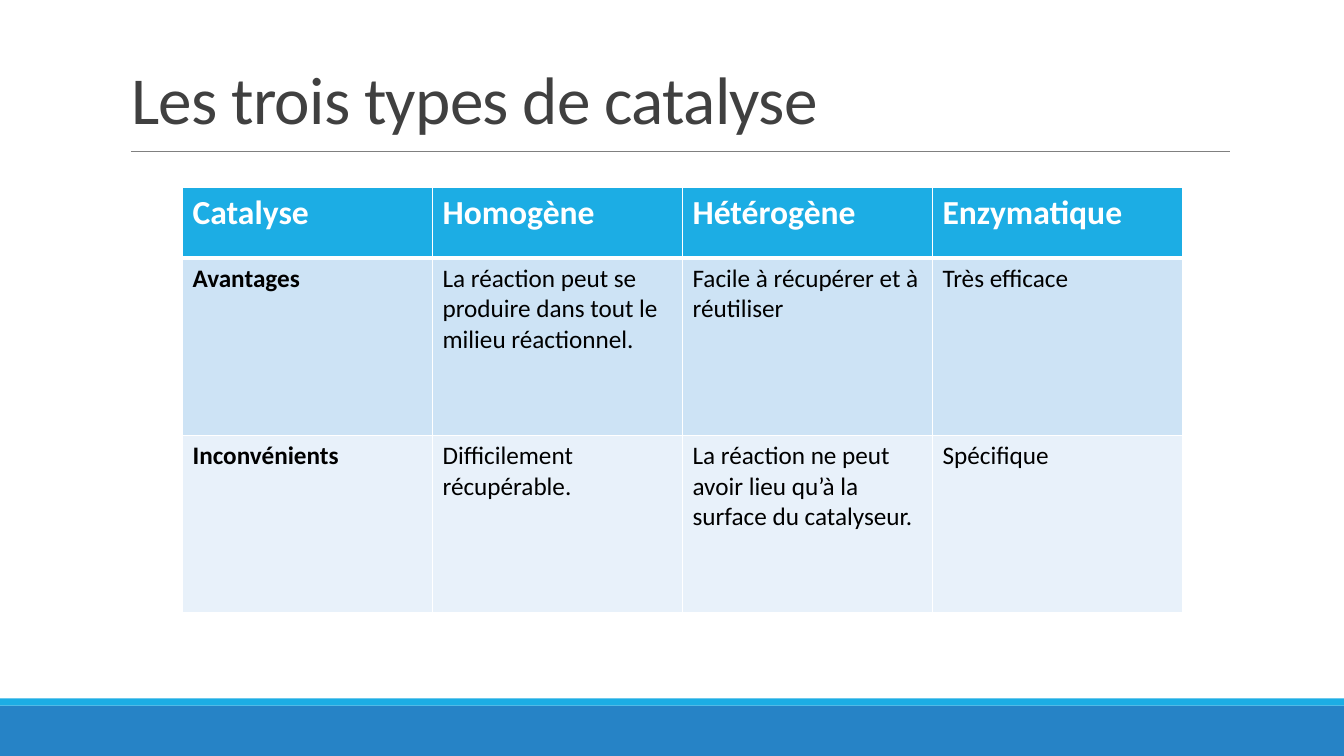
from lxml import etree
from pptx import Presentation
from pptx.dml.color import RGBColor
from pptx.enum.shapes import MSO_CONNECTOR, MSO_SHAPE
from pptx.enum.text import MSO_ANCHOR, PP_ALIGN
from pptx.oxml import parse_xml
from pptx.oxml.ns import nsdecls, qn
from pptx.util import Cm, Pt

RECT = MSO_SHAPE.RECTANGLE
STRAIGHT = MSO_CONNECTOR.STRAIGHT
BOTTOM = MSO_ANCHOR.BOTTOM
LEFT = PP_ALIGN.LEFT

TITLE = "Les trois types de catalyse"
ROWS = [
    ("Catalyse", "Homogène", "Hétérogène", "Enzymatique"),
    ("Avantages", "La réaction peut se produire dans tout le milieu réactionnel.",
     "Facile à récupérer et à réutiliser", "Très efficace"),
    ("Inconvénients", "Difficilement récupérable.",
     "La réaction ne peut avoir lieu qu’à la surface du catalyseur.", "Spécifique"),
]
ROW_FILLS = ["1CADE4", "CDE3F5", "E8F1FA"]
ROW_HEIGHTS = [1.78, 4.47, 4.47]
COL_WIDTH = 6.3
FOOTER_BARS = [(17.78, 1.27, "2683C6"), (17.6, 0.18, "1CADE4")]  # top, height, fill
SLIDE_W, SLIDE_H = 33.87, 19.05
FONT = "Calibri"


def rgb(color):
    return RGBColor.from_string(color)


def add_run(p, text, size, color, bold=False):
    r = p.add_run()
    r.text = text
    r.font.name = FONT
    r.font.size = Pt(size)
    r.font.bold = bold
    r.font.color.rgb = rgb(color)
    return r


def set_borders(cell, top, bottom):
    """Draw white borders, with top and bottom widths in points."""
    tcPr = cell._tc.get_or_add_tcPr()
    for side, width in (("L", 1), ("R", 1), ("T", top), ("B", bottom)):
        tcPr.append(parse_xml(
            f'<a:ln{side} {nsdecls("a")} w="{Pt(width)}"><a:solidFill>'
            f'<a:srgbClr val="FFFFFF"/></a:solidFill></a:ln{side}>'))


prs = Presentation()
prs.slide_width, prs.slide_height = Cm(SLIDE_W), Cm(SLIDE_H)
s = prs.slides.add_slide(prs.slide_layouts[5])

for top, height, color in FOOTER_BARS:
    bar = s.shapes.add_shape(RECT, 0, Cm(top), Cm(SLIDE_W), Cm(height))
    bar.shadow.inherit = False
    bar.fill.solid()
    bar.fill.fore_color.rgb = rgb(color)
    bar.line.fill.background()

rule = s.shapes.add_connector(STRAIGHT, Cm(3.3), Cm(3.82), Cm(31), Cm(3.82))
rule.line.color.rgb = rgb("808080")
rule.line.width = Pt(0.5)
etree.SubElement(rule._element.spPr, qn("a:effectLst"))

title = s.shapes.title
title.left, title.top, title.width, title.height = Cm(3.05), Cm(0.79), Cm(27.94), Cm(2.82)
tf = title.text_frame
tf.word_wrap = True
tf.vertical_anchor = BOTTOM
p = tf.paragraphs[0]
p.alignment = LEFT
p.line_spacing = 0.85
r = add_run(p, TITLE, 48, "404040")
r.font._element.set("spc", "-50")

table = s.shapes.add_table(len(ROWS), len(ROWS[0]), Cm(4.6), Cm(4.72),
                           Cm(COL_WIDTH * len(ROWS[0])), Cm(sum(ROW_HEIGHTS))).table
for col in table.columns:
    col.width = Cm(COL_WIDTH)
for i, texts in enumerate(ROWS):
    table.rows[i].height = Cm(ROW_HEIGHTS[i])
    header = i == 0
    for j, text in enumerate(texts):
        cell = table.cell(i, j)
        set_borders(cell, top=3 if i == 1 else 1, bottom=3 if header else 1)
        cell.fill.solid()
        cell.fill.fore_color.rgb = rgb(ROW_FILLS[i])
        add_run(cell.text_frame.paragraphs[0], text, 24 if header else 18,
                "FFFFFF" if header else "000000", bold=header or j == 0)

prs.save("out.pptx")
